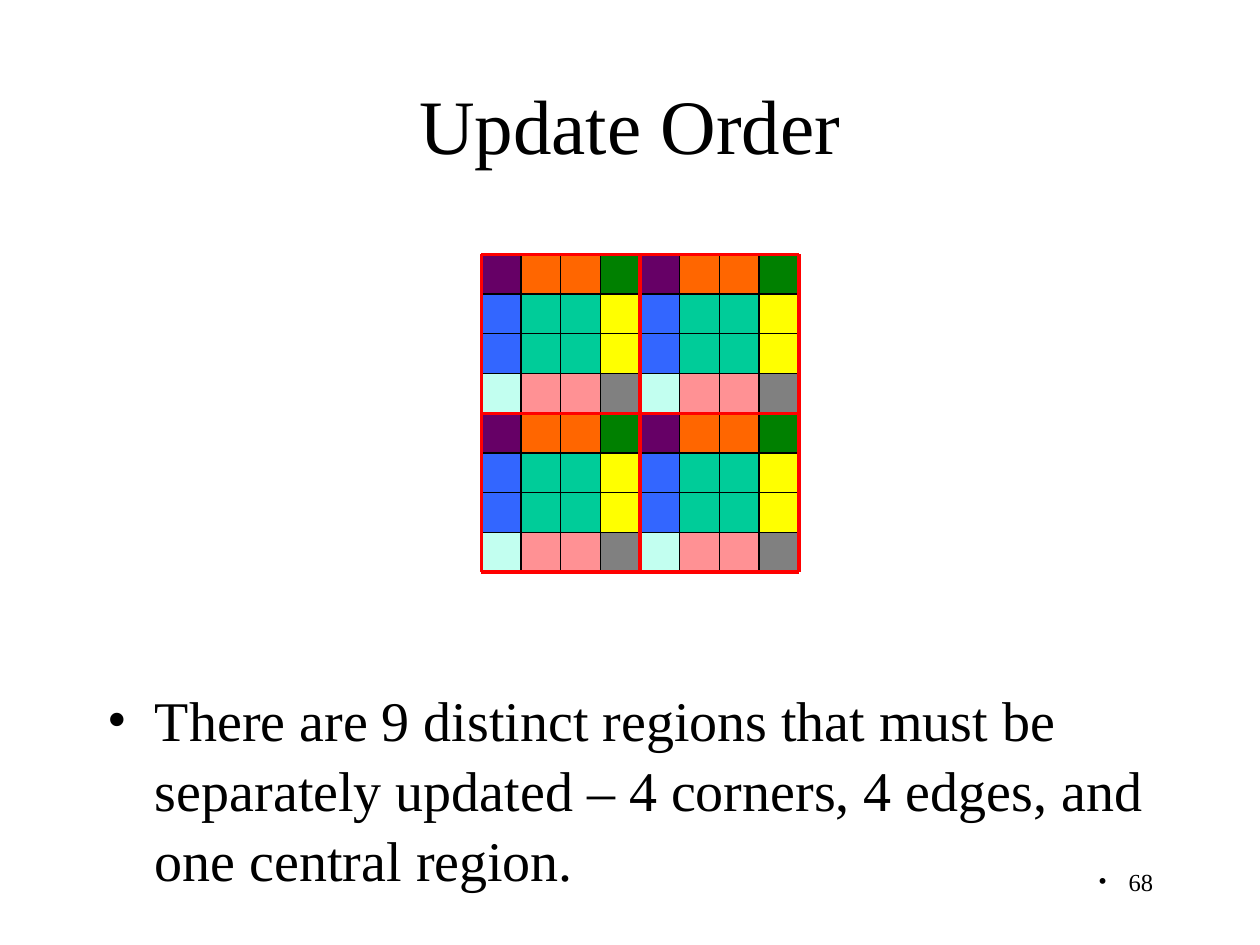
from dataclasses import dataclass
from itertools import product

from lxml.etree import SubElement
from pptx import Presentation
from pptx.dml.color import RGBColor
from pptx.enum.shapes import MSO_CONNECTOR, MSO_SHAPE
from pptx.enum.text import MSO_ANCHOR, MSO_AUTO_SIZE, PP_ALIGN
from pptx.oxml.ns import qn
from pptx.util import Inches, Pt


@dataclass(frozen=True)
class Theme:
    font: str = "Times New Roman"
    ink: str = "000000"
    divider: str = "FF0000"
    title_size: int = 44
    body_size: int = 32
    number_size: int = 14
    cell_line: float = 0.75
    divider_line: float = 2
    regions: tuple = (
        ("660066", "FF6600", "008000"),
        ("3366FF", "00CC99", "FFFF00"),
        ("C2FFF0", "FF9194", "808080"),
    )


THEME = Theme()
CELL = 0.315
TILE = 4
TILES = 2
BANDS = ((0, 1), (1, 2), (3, 1))


def apply(target, values):
    for name, value in values.items():
        setattr(target, name, value)


def place(part, box):
    apply(part, dict(zip(("left", "top", "width", "height"), map(Inches, box))))


def write(part, text, size, frame_format, paragraph_format, hanging=None):
    frame = part.text_frame
    apply(frame, {"word_wrap": True, "auto_size": MSO_AUTO_SIZE.NONE, **frame_format})
    frame.text = text
    paragraph = frame.paragraphs[0]
    apply(paragraph, {"space_before": Pt(0), **paragraph_format})
    if hanging:
        properties = paragraph._p.get_or_add_pPr()
        properties.set("marL", str(Inches(hanging)))
        properties.set("indent", str(-Inches(hanging)))
        SubElement(properties, qn("a:buFont")).set("typeface", THEME.font)
        SubElement(properties, qn("a:buChar")).set("char", "•")
    font = paragraph.runs[0].font
    apply(font, {"name": THEME.font, "size": Pt(size)})
    font.color.rgb = RGBColor.from_string(THEME.ink)


def add_title(slide, box):
    title = slide.shapes.title
    place(title, box)
    write(title, "Update Order", THEME.title_size,
          {"vertical_anchor": MSO_ANCHOR.MIDDLE}, {"alignment": PP_ALIGN.CENTER})


def add_statement(slide, box):
    statement = slide.placeholders[1]
    place(statement, box)
    write(statement,
          "There are 9 distinct regions that must be separately updated "
          "– 4 corners, 4 edges, and one central region.",
          THEME.body_size,
          {"vertical_anchor": MSO_ANCHOR.TOP, "margin_top": Inches(0.1)},
          {"alignment": PP_ALIGN.LEFT, "line_spacing": 1.04}, hanging=0.38)


def add_page_number(slide, box):
    page_number = slide.shapes.add_textbox(*map(Inches, box))
    write(page_number, "68", THEME.number_size,
          {"vertical_anchor": MSO_ANCHOR.TOP}, {"alignment": PP_ALIGN.RIGHT}, hanging=0.24)


def add_block(group, box, fill=None):
    block = group.shapes.add_shape(MSO_SHAPE.RECTANGLE, *map(Inches, box))
    block.shadow.inherit = False
    if fill:
        block.fill.solid()
        block.fill.fore_color.rgb = RGBColor.from_string(fill)
    else:
        block.fill.background()
    block.line.color.rgb = RGBColor.from_string(THEME.ink)
    block.line.width = Pt(THEME.cell_line)


def add_divider(group, start, end):
    divider = group.shapes.add_connector(MSO_CONNECTOR.STRAIGHT, *map(Inches, start + end))
    divider.line.color.rgb = RGBColor.from_string(THEME.divider)
    divider.line.width = Pt(THEME.divider_line)
    SubElement(divider._element.spPr, qn("a:effectLst"))


def add_update_grid(slide, left, top):
    def cells(column, row, columns, rows):
        return left + column * CELL, top + row * CELL, columns * CELL, rows * CELL

    for (band_row, colors) in zip(BANDS, THEME.regions):
        for (band_column, color) in zip(BANDS, colors):
            region = slide.shapes.add_group_shape()
            for tile_row, tile_column in product(range(TILES), repeat=2):
                add_block(region, cells(tile_column * TILE + band_column[0],
                                        tile_row * TILE + band_row[0],
                                        band_column[1], band_row[1]), color)

    mesh = slide.shapes.add_group_shape()
    count = TILES * TILE
    for row, column in product(range(count), repeat=2):
        add_block(mesh, cells(column, row, 1, 1))
    side = count * CELL
    for step in range(TILES + 1):
        offset = step * TILE * CELL
        add_divider(mesh, (left, top + offset), (left + side, top + offset))
        add_divider(mesh, (left + offset, top), (left + offset, top + side))


def main():
    deck = Presentation()
    apply(deck, {"slide_width": Inches(10), "slide_height": Inches(7.5)})
    slide = deck.slides.add_slide(deck.slide_layouts[1])
    add_title(slide, (0.75, 0.36, 8.5, 1.25))
    add_statement(slide, (0.75, 5.32, 8.5, 1.81))
    add_page_number(slide, (7.17, 6.83, 2.08, 0.5))
    add_update_grid(slide, 3.82, 2.02)
    deck.save("out.pptx")


if __name__ == "__main__":
    main()
